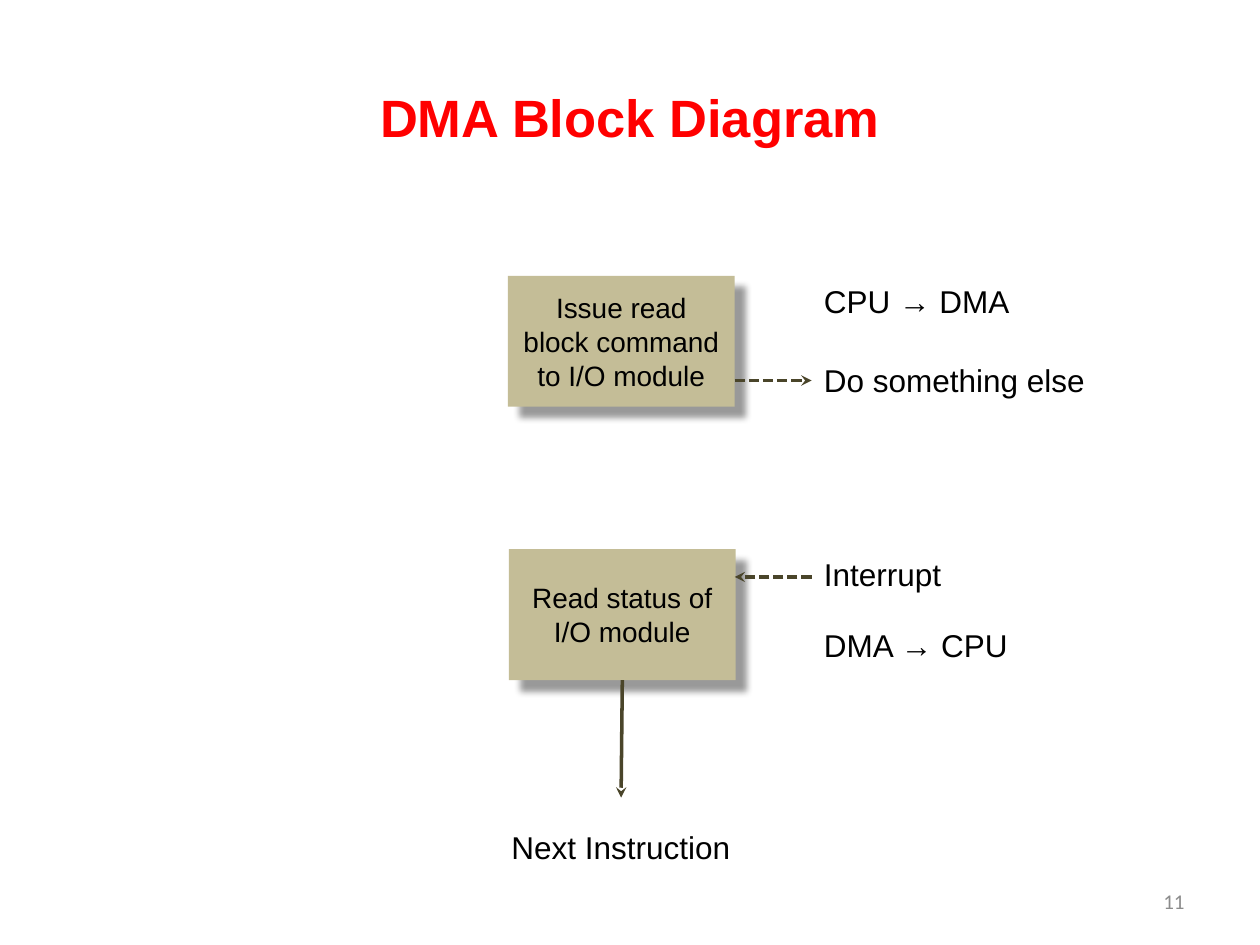
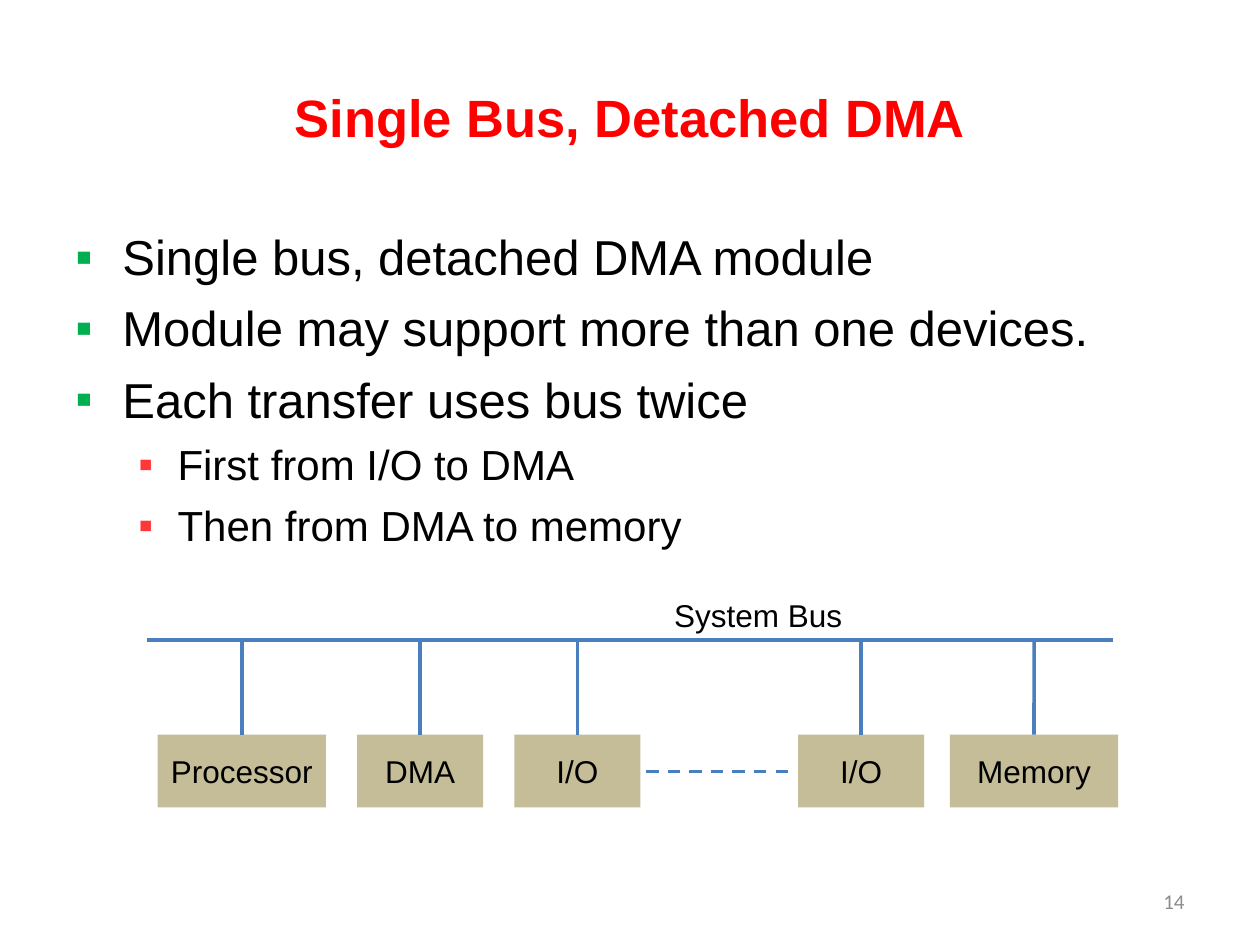
import dataclasses
import lxml.etree
import pptx
import pptx.dml.color
import pptx.enum.dml
import pptx.enum.shapes
import pptx.enum.text
import pptx.oxml
import pptx.oxml.ns
import pptx.util

Cm = pptx.util.Cm
Pt = pptx.util.Pt
qn = pptx.oxml.ns.qn
Align = pptx.enum.text.PP_ALIGN
Anchor = pptx.enum.text.MSO_ANCHOR
Dash = pptx.enum.dml.MSO_LINE


@dataclasses.dataclass(frozen=True)
class Theme:
    font: str = "Arial"
    number_font: str = "Calibri"
    title: str = "FF0000"
    ink: str = "000000"
    number: str = "8C8C8C"
    block: str = "C4BD97"
    arrow: str = "4A452A"
    bus: str = "4B7EBC"
    bullets: tuple = ("00B050", "FF3737")
    body_sizes: tuple = (28, 24)
    body_gaps: tuple = (7, 6)
    title_size: int = 30
    label_size: int = 18
    step_size: int = 16
    number_size: int = 12


theme = Theme()


def add_box(page, text, place, size=theme.label_size, color=theme.ink, align=Align.CENTER,
            fill=None, font=theme.font, bold=False, label=False):
    lengths = [Cm(value) for value in place]
    if fill:
        box = page.shapes.add_shape(pptx.enum.shapes.MSO_SHAPE.RECTANGLE, *lengths)
        box.shadow.inherit = False
        box.fill.solid()
        box.fill.fore_color.rgb = pptx.dml.color.RGBColor.from_string(fill)
        box.line.fill.background()
    else:
        box = page.shapes.add_textbox(*lengths)
    frame = box.text_frame
    frame.text = text
    frame.word_wrap = not label
    frame.vertical_anchor = Anchor.TOP if label else Anchor.MIDDLE
    if label:
        frame.auto_size = pptx.enum.text.MSO_AUTO_SIZE.SHAPE_TO_FIT_TEXT
    for para in frame.paragraphs:
        para.alignment = align
        for span in para.runs:
            span.font.name = font
            span.font.size = Pt(size)
            span.font.bold = bold
            span.font.color.rgb = pptx.dml.color.RGBColor.from_string(color)
    return box


def add_line(page, start, end, color, width=2, dash=None, arrow=False):
    line = page.shapes.add_connector(
        pptx.enum.shapes.MSO_CONNECTOR.STRAIGHT, *[Cm(value) for value in start + end])
    line.line.color.rgb = pptx.dml.color.RGBColor.from_string(color)
    line.line.width = Pt(width)
    if dash:
        line.line.dash_style = dash
    properties = line._element.spPr
    if arrow:
        lxml.etree.SubElement(properties.find(qn("a:ln")), qn("a:tailEnd"), type="stealth")
    lxml.etree.SubElement(properties, qn("a:effectLst"))
    return line


deck = pptx.Presentation()
deck.slide_width = Cm(25.4)
deck.slide_height = Cm(19.05)

pages = []
for title, number in (("DMA Block Diagram", "11"), ("Single Bus, Detached DMA", "14")):
    page = deck.slides.add_slide(deck.slide_layouts[6])
    add_box(page, title, (1.27, 0.76, 22.86, 3.18), theme.title_size, theme.title, bold=True)
    add_box(page, number, (18.2, 17.65, 5.93, 1.02), theme.number_size, theme.number,
            Align.RIGHT, font=theme.number_font)
    pages.append(page)
flow_page, bus_page = pages

for text, left, top in (
    ("Issue read block command to I/O module", 10.24, 5.56),
    ("Read status of I/O module", 10.26, 11.07),
):
    step = add_box(flow_page, text, (left, top, 4.57, 2.64), theme.step_size, fill=theme.block)
    effects = step._element.spPr.find(qn("a:effectLst"))
    shadow = lxml.etree.SubElement(effects, qn("a:outerShdw"), blurRad=str(Pt(4)),
                                   dist=str(Pt(9)), dir="2700000", algn="tl", rotWithShape="0")
    tint = lxml.etree.SubElement(shadow, qn("a:srgbClr"), val=theme.ink)
    lxml.etree.SubElement(tint, qn("a:alpha"), val="40000")

for text, left, top, width in (
    ("CPU → DMA", 16.36, 5.56, 4.27),
    ("DMA → CPU", 16.36, 12.5, 4.24),
    ("Do something else", 16.36, 7.16, 6.17),
    ("Interrupt", 16.36, 11.07, 3.07),
    ("Next Instruction", 10.06, 16.56, 4.98),
):
    add_box(flow_page, text, (left, top, width, 1.02), align=Align.LEFT, label=True)

add_line(flow_page, (14.81, 7.67), (16.36, 7.67), theme.arrow, dash=Dash.SQUARE_DOT, arrow=True)
add_line(flow_page, (16.36, 11.63), (14.81, 11.63), theme.arrow, dash=Dash.SQUARE_DOT, arrow=True)
next_arrow = add_line(flow_page, (12.54, 13.71), (12.52, 16.08), theme.arrow, arrow=True)
next_arrow.begin_connect(step, 2)

points = (
    ("Single bus, detached DMA module", 0),
    ("Module may support more than one devices.", 0),
    ("Each transfer uses bus twice", 0),
    ("First from I/O to DMA", 1),
    ("Then from DMA to memory", 1),
)
body = add_box(bus_page, "\n".join(text for text, level in points),
               (1.27, 4.45, 22.86, 12.57), align=Align.LEFT)
body.text_frame.vertical_anchor = Anchor.TOP
for para, (text, level) in zip(body.text_frame.paragraphs, points):
    para.level = level
    para.space_before = Pt(theme.body_gaps[level])
    para.runs[0].font.size = Pt(theme.body_sizes[level])
    properties = para._p.get_or_add_pPr()
    margin, indent = ((0.95, -0.95), (2.06, -0.79))[level]
    properties.set("marL", str(Cm(margin)))
    properties.set("indent", str(Cm(indent)))
    bullet_color = lxml.etree.SubElement(properties, qn("a:buClr"))
    lxml.etree.SubElement(bullet_color, qn("a:srgbClr"), val=theme.bullets[level])
    lxml.etree.SubElement(properties, qn("a:buFont"), typeface=theme.font)
    lxml.etree.SubElement(properties, qn("a:buChar"), char="▪")
body.text_frame.paragraphs[0].space_before = Pt(3)

bus_top, device_top, device_height = 12.9, 14.81, 1.47
add_line(bus_page, (2.97, bus_top), (22.43, bus_top), theme.bus)
for name, left, width in (
    ("Processor", 3.18, 3.39),
    ("DMA", 7.2, 2.54),
    ("I/O", 10.37, 2.54),
    ("I/O", 16.09, 2.54),
    ("Memory", 19.15, 3.39),
):
    device = add_box(bus_page, name, (left, device_top, width, device_height), fill=theme.block)
    middle = left + width / 2
    tap = add_line(bus_page, (middle, device_top), (middle, bus_top), theme.bus)
    tap.begin_connect(device, 0)

more_top = device_top + device_height / 2
add_line(bus_page, (13.03, more_top), (16, more_top), theme.bus, 1.75, Dash.DASH)
add_box(bus_page, "System Bus", (13.34, 11.89, 3.94, 1.02), align=Align.LEFT, label=True)

deck.save("out.pptx")
